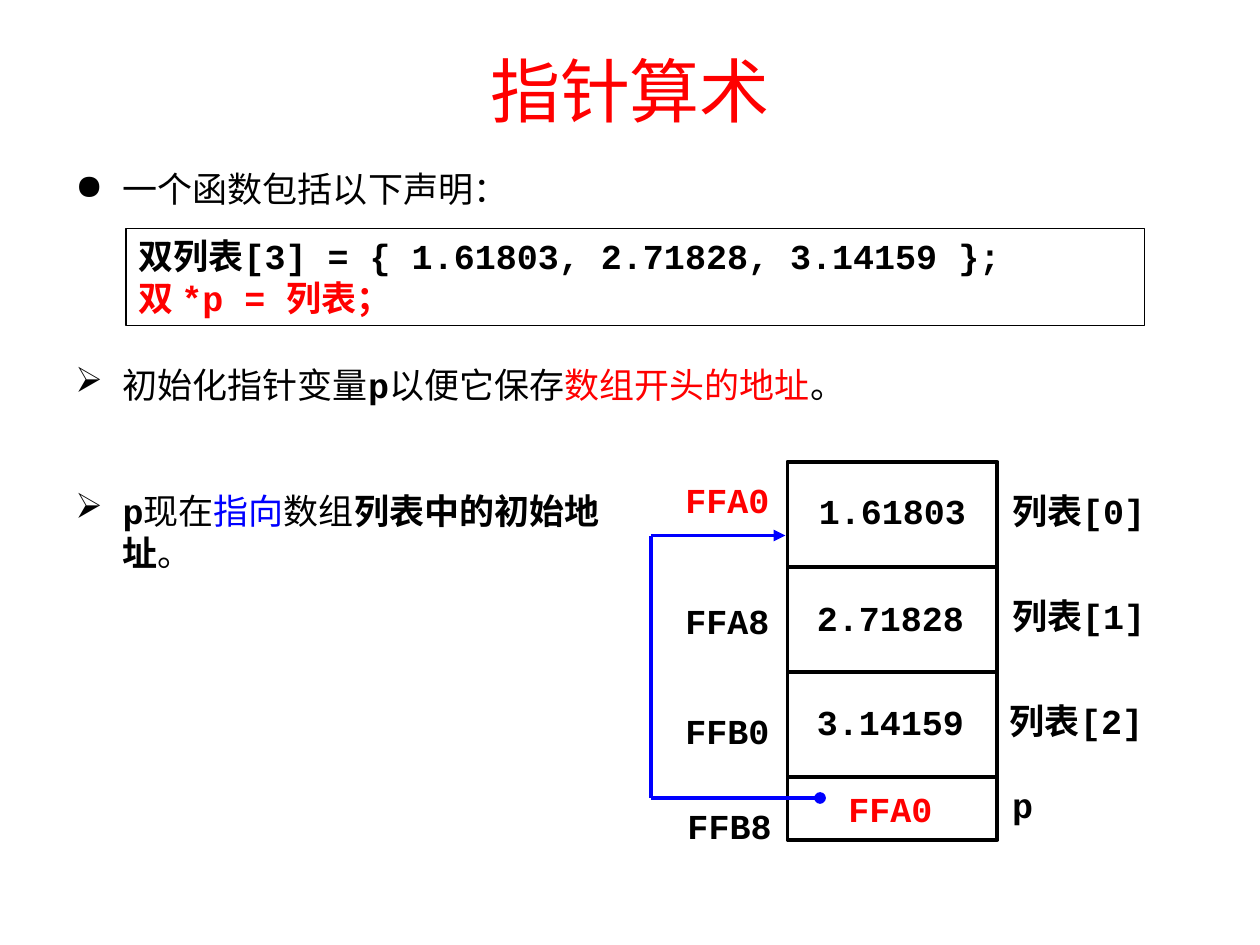
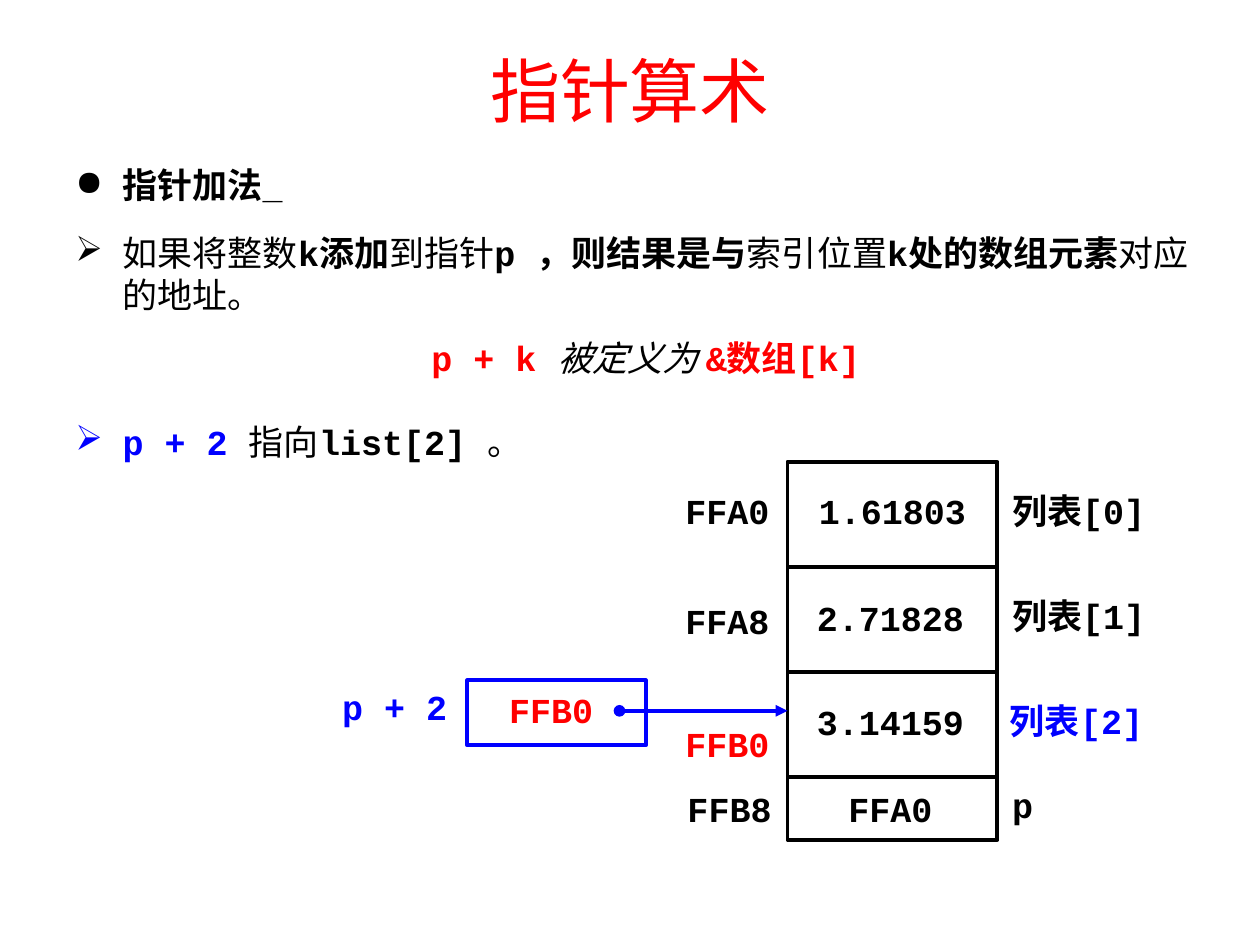
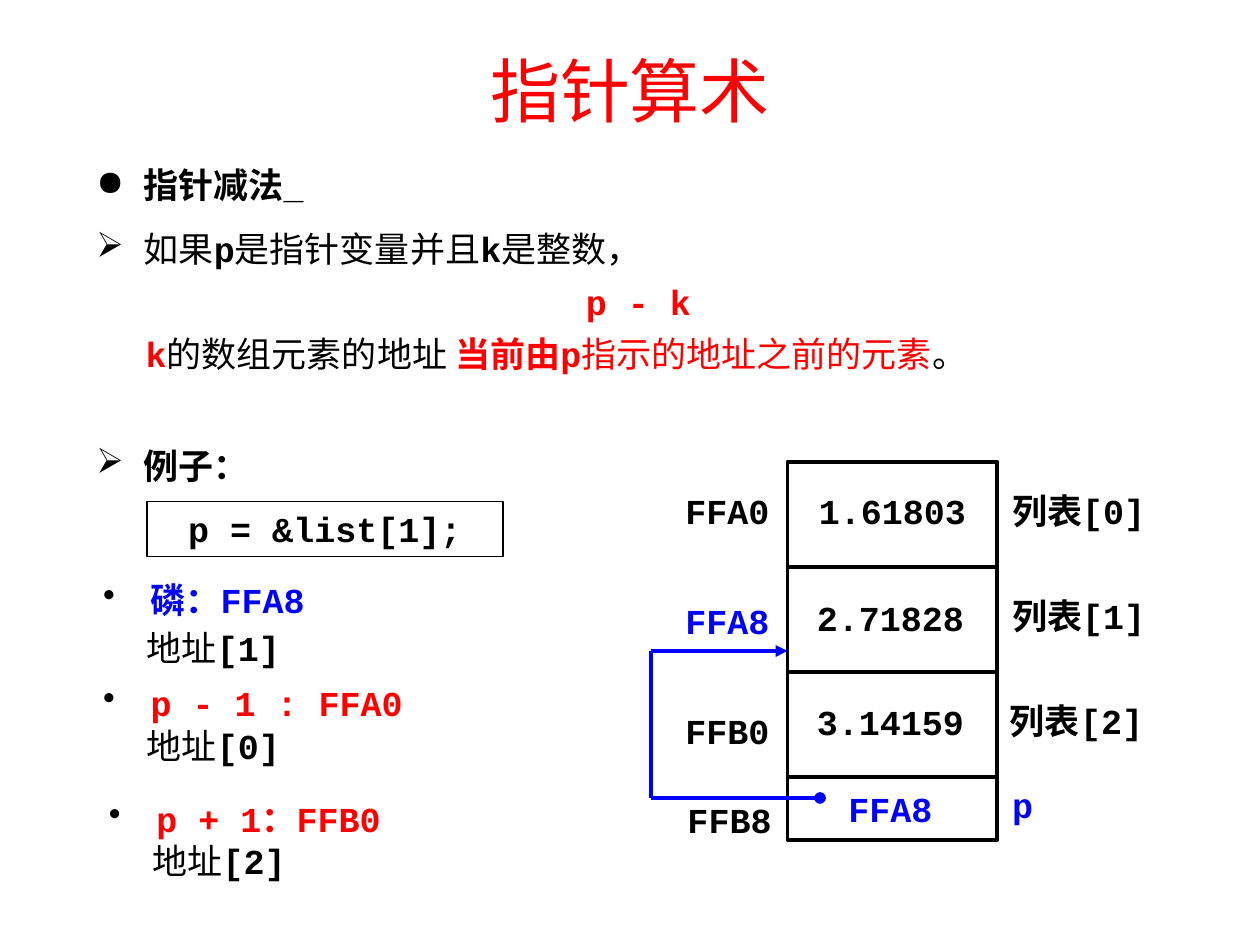
from dataclasses import dataclass
from typing import Optional

from lxml.etree import SubElement
from pptx import Presentation
from pptx.dml.color import RGBColor
from pptx.enum.shapes import MSO_CONNECTOR as Connector, MSO_SHAPE as Preset
from pptx.enum.text import MSO_ANCHOR as Anchor, MSO_AUTO_SIZE as AutoSize, PP_ALIGN as Align
from pptx.oxml.ns import qn
from pptx.util import Inches, Pt

COLORS = {"black": "000000", "red": "FF0000", "blue": "0000FF", "white": "FFFFFF"}
STYLES = {
    "title": ("Times New Roman", 40, False, False),
    "body": ("Arial", 20, False, False),
    "strong": ("Arial", 20, True, False),
    "aside": ("Arial", 20, False, True),
    "code": ("Courier New", 20, True, False),
}
WIDTH, HEIGHT = Inches(10), Inches(7.5)
COLUMNS, ROWS = 120, 90
HANGING = 4.5


@dataclass
class Line:
    runs: list
    align: Align = Align.LEFT
    bullet: Optional[str] = None
    bullet_color: Optional[str] = None
    after: float = 12
    margin: float = 0
    spacing: Optional[float] = None


def body(text, color="black"):
    return text, "body", color


def code(text, color="black"):
    return text, "code", color


class Deck:
    def __init__(self):
        self.presentation = Presentation()
        self.presentation.slide_width = WIDTH
        self.presentation.slide_height = HEIGHT
        self.slide = None

    def x(self, columns):
        return int(WIDTH * columns / COLUMNS)

    def y(self, rows):
        return int(HEIGHT * rows / ROWS)

    def area(self, column, row, columns, rows):
        return self.x(column), self.y(row), self.x(columns), self.y(rows)

    def color(self, name):
        return RGBColor.from_string(COLORS[name])

    def start(self, title):
        self.slide = self.presentation.slides.add_slide(self.presentation.slide_layouts[6])
        heading = self.text((0, 1, 120, 15), Line([(title, "title", "red")], Align.CENTER, after=0))
        heading.text_frame.vertical_anchor = Anchor.MIDDLE

    def fill_lines(self, frame, lines):
        frame.word_wrap = True
        for index, line in enumerate(lines):
            paragraph = frame.add_paragraph() if index else frame.paragraphs[0]
            paragraph.alignment = line.align
            paragraph.space_after = Pt(line.after)
            if line.spacing:
                paragraph.line_spacing = line.spacing
            for text, style, color in line.runs:
                run = paragraph.add_run()
                run.text = text
                font = run.font
                font.name, size, font.bold, font.italic = STYLES[style]
                font.size = Pt(size)
                font.color.rgb = self.color(color)
            self.indent(paragraph, line)

    def indent(self, paragraph, line):
        properties = paragraph._p.get_or_add_pPr()
        margin = HANGING if line.bullet else line.margin
        properties.set("marL", str(self.x(margin)))
        properties.set("indent", str(-self.x(HANGING) if line.bullet else 0))
        if line.bullet_color:
            tint = SubElement(properties, qn("a:buClr"))
            SubElement(tint, qn("a:srgbClr"), val=COLORS[line.bullet_color])
        if line.bullet:
            SubElement(properties, qn("a:buChar"), char=line.bullet)

    def text(self, area, *lines):
        box = self.slide.shapes.add_textbox(*self.area(*area))
        self.fill_lines(box.text_frame, lines)
        return box

    def label(self, area, text, color="black", align=Align.LEFT):
        return self.text(area, Line([code(text, color)], align))

    def rectangle(self, area, color="black", weight=2.25, fill=None):
        shape = self.slide.shapes.add_shape(Preset.RECTANGLE, *self.area(*area))
        shape.shadow.inherit = False
        shape.line.color.rgb = self.color(color)
        shape.line.width = Pt(weight)
        if fill:
            shape.fill.solid()
            shape.fill.fore_color.rgb = self.color(fill)
        else:
            shape.fill.background()
        return shape

    def listing(self, area, *lines):
        panel = self.rectangle(area, weight=0.75, fill="white")
        panel.text_frame.vertical_anchor = Anchor.TOP
        panel.text_frame.auto_size = AutoSize.SHAPE_TO_FIT_TEXT
        self.fill_lines(panel.text_frame, lines)

    def line(self, start, end, color="black", head=None, tail=None):
        connector = self.slide.shapes.add_connector(
            Connector.STRAIGHT, self.x(start[0]), self.y(start[1]), self.x(end[0]), self.y(end[1]))
        connector.line.color.rgb = self.color(color)
        connector.line.width = Pt(2.25)
        outline = connector.line._get_or_add_ln()
        for tag, kind in (("a:headEnd", head), ("a:tailEnd", tail)):
            if kind:
                SubElement(outline, qn(tag), type=kind)
        SubElement(connector._element.spPr, qn("a:effectLst"))
        return connector

    def memory(self, addresses, pointer, third_color="black", p_color="black"):
        for row in (54, 64, 74):
            self.line((75, row), (95, row))
        names = (("列表[0]", 95.2, 46, "black"), ("列表[1]", 95.2, 56, "black"),
                 ("列表[2]", 95, 66, third_color), ("p", 95.2, 74, p_color))
        for name, column, row, color in names:
            self.label((column, row, 16.5, 6), name, color)
        for column, (address, row, color) in zip((64.1, 64.1, 64.1, 64.3), addresses):
            self.label((column, row, 11, 6), address, color)
        values = (("1.61803", 75, 46, "black"), ("2.71828", 74.8, 56.2, "black"),
                  ("3.14159", 74.8, 66.1, "black"), (pointer[0], 74.8, 74.4, pointer[1]))
        for value, column, row, color in values:
            self.label((column, row, 20, 6), value, color, Align.CENTER)
        return self.rectangle((75, 44, 20, 36))

    def pointer_loop(self, target_row):
        self.line((78.1, 76), (62, 76), "blue", head="oval")
        self.line((62, 76), (62, target_row), "blue")
        return self.line((62, target_row), (74.8, target_row), "blue", tail="triangle")

    def example(self, column, row, result, color, index, gap):
        self.text((column, row, 37.3, 6.5),
                  Line([code(result, color)], bullet="•", bullet_color="black"))
        self.text((column + 4.15, row + gap, 37, 4.7),
                  Line([body("地址"), code(f"[{index}]")], Align.JUSTIFY, after=6))


def declaration(deck):
    deck.start("指针算术")
    deck.text((6, 16, 111, 5), Line([body("一个函数包括以下声明：")], bullet="●", spacing=0.85))
    deck.listing((12, 21.75, 97, 9.25),
                 Line([code("双列表[3] = { 1.61803, 2.71828, 3.14159 };")], after=0),
                 Line([code("双 *p = 列表；", "red")], after=0))
    deck.text((6, 34, 103, 11), Line([
        body("初始化指针变量"), code("p"), body("以便它保存"),
        body("数组开头的地址", "red"), body("。")], bullet="➢"))
    deck.memory([("FFA0", 45, "red"), ("FFA8", 56.5, "black"),
                 ("FFB0", 67, "black"), ("FFB8", 76, "black")], ("FFA0", "red"))
    deck.text((6, 46, 55, 11), Line([
        code("p"), body("现在"), body("指向", "blue"), body("数组"),
        code("列表中的初始地址"), body("。")], bullet="➢"))
    deck.pointer_loop(51)


def addition(deck):
    deck.start("指针算术")
    deck.text((6, 15, 105.6, 10), Line([("指针加法_", "strong", "black")], Align.JUSTIFY, "●"))
    deck.text((6, 21.5, 111, 5),
              Line([body("如果将整数"), code("k添加"), body("到指针"), code("p ，则结果是与"),
                    body("索引位置"), code("k处的数组元素"), body("对应的地址。")], bullet="➢"),
              Line([code("p + k ", "red"), ("被定义为 ", "aside", "black"),
                    code("&数组[k]", "red")], Align.CENTER))
    deck.text((6, 39.5, 101, 6.5), Line([
        code("p + 2 ", "blue"), body("指向"), code("list[2] "), body("。")], bullet="➢"))
    deck.memory([("FFA0", 46, "black"), ("FFA8", 56.5, "black"),
                 ("FFB0", 68.2, "red"), ("FFB8", 74.4, "black")],
                ("FFA0", "black"), third_color="blue")
    deck.rectangle((44.5, 64.8, 17, 6.2), "blue")
    deck.label((47.3, 65, 11, 6), "FFB0", "red")
    deck.label((31.4, 64.7, 16.5, 6), "p + 2", "blue")
    deck.line((59, 67.7), (75, 67.7), "blue", head="oval", tail="triangle")


def subtraction(deck):
    deck.start("指针算术")
    deck.text((8, 15, 105.6, 10), Line([("指针减法_", "strong", "black")], Align.JUSTIFY, "●"))
    deck.text((8, 21.1, 105.6, 10),
              Line([body("如果"), code("p"), body("是指针变量并且"), code("k"),
                    body("是整数，")], Align.JUSTIFY, "➢", after=6),
              Line([code("p - k", "red")], Align.CENTER, after=6),
              Line([code("k", "red"), body("的数组元素的地址"), (" 当前由", "strong", "red"),
                    code("p", "red"), body("指示的地址之前的元素", "red"), body("。")],
                   after=6, margin=4.7))
    deck.text((8, 41.75, 41, 6.5), Line([code("例子：")], bullet="➢"))
    deck.listing((14, 47.75, 33.9, 5.25), Line([code("p = &list[1];")], Align.CENTER, after=0))
    frame = deck.memory([("FFA0", 46, "black"), ("FFA8", 56.5, "blue"),
                         ("FFB0", 67, "black"), ("FFB8", 75.5, "black")],
                        ("FFA8", "blue"), p_color="blue")
    deck.pointer_loop(62).end_connect(frame, 1)
    deck.example(8.65, 54.5, "磷：FFA8", "blue", 1, 4.55)
    deck.example(8.65, 64.3, "p - 1 : FFA0", "red", 0, 4.1)
    deck.example(9.2, 75.35, "p + 1：FFB0", "red", 2, 4)


def main():
    deck = Deck()
    for build in (declaration, addition, subtraction):
        build(deck)
    deck.presentation.save("out.pptx")


if __name__ == "__main__":
    main()
